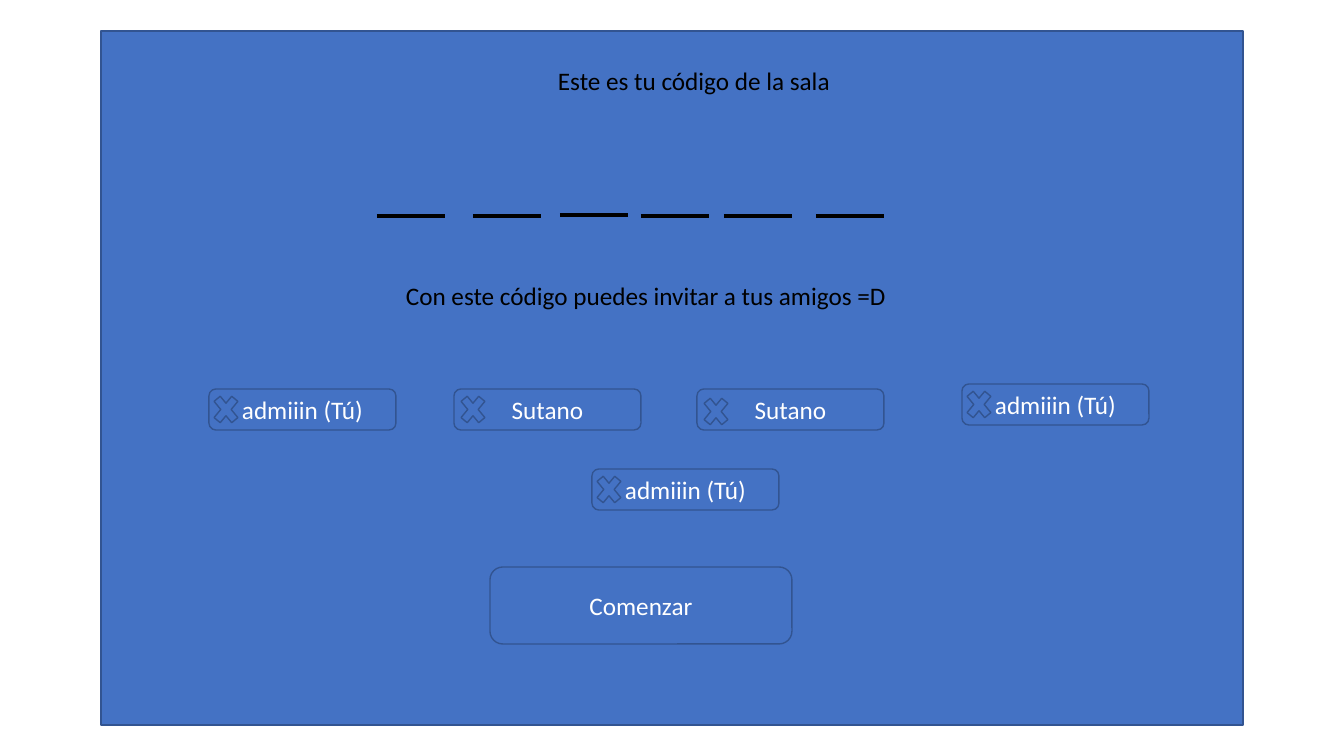
from pptx import Presentation
from pptx.dml.color import RGBColor
from pptx.enum import shapes, text
from pptx.oxml import xmlchemy
from pptx import util as u

PX = u.Inches(1) / 100.8
BLUE = RGBColor(0x44, 0x72, 0xC4)
NAVY = RGBColor(0x32, 0x54, 0x91)
BLACK = RGBColor(0, 0, 0)
WHITE = RGBColor(0xFF, 0xFF, 0xFF)
FORM = shapes.MSO_SHAPE


def write(shape, wording, color):
    paragraph = shape.text_frame.paragraphs[0]
    paragraph.text = wording
    font = paragraph.runs[0].font
    font.name, font.size = "Calibri", u.Pt(18)
    font.color.rgb = color
    return paragraph


def add_box(form, *place, label=None):
    box = slide.shapes.add_shape(form, *[round(n * PX) for n in place])
    box.shadow.inherit = False
    box.fill.solid()
    box.fill.fore_color.rgb = BLUE
    box.line.color.rgb = NAVY
    box.line.width = u.Pt(1)
    if label:
        box.text_frame.vertical_anchor = text.MSO_ANCHOR.MIDDLE
        write(box, label, WHITE).alignment = text.PP_ALIGN.CENTER


prs = Presentation()
prs.slide_width, prs.slide_height = round(1344 * PX), round(756 * PX)
slide = prs.slides.add_slide(prs.slide_layouts[6])

# Room panel
add_box(FORM.RECTANGLE, 101, 31, 1142, 694)

# Room code messages
for left, top, width, message in [
    (548, 60, 295, "Este es tu código de la sala"),
    (396, 275, 504, "Con este código puedes invitar a tus amigos =D"),
]:
    place = [round(n * PX) for n in (left, top, width, 40)]
    caption = slide.shapes.add_textbox(*place)
    caption.text_frame.word_wrap = False
    caption.text_frame.auto_size = text.MSO_AUTO_SIZE.SHAPE_TO_FIT_TEXT
    write(caption, message, BLACK)

# Blanks for the six code characters
for left, top in [(377, 216), (473, 216), (560, 215),
                  (641, 216), (724, 216), (816, 216)]:
    ends = [round(n * PX) for n in (left, top, left + 68, top)]
    blank = slide.shapes.add_connector(shapes.MSO_CONNECTOR.STRAIGHT, *ends)
    blank.line.color.rgb = BLACK
    blank.line.width = u.Pt(3)
    blank._element.spPr.append(xmlchemy.OxmlElement("a:effectLst"))

# Players, each with a cross for removal
for left, top, player, cross_dx, cross_dy in [
    (209, 389, "admiiin (Tú)", 0, 0),
    (454, 389, "Sutano", 2, 0),
    (697, 389, "Sutano", 2, 2),
    (592, 469, "admiiin (Tú)", 0, 0),
    (962, 384, "admiiin (Tú)", 0, 0),
]:
    add_box(FORM.ROUNDED_RECTANGLE, left, top, 187, 41, label=player)
    add_box(FORM.MATH_MULTIPLY, left + cross_dx, top + cross_dy, 34, 41)

# Start button
add_box(FORM.ROUNDED_RECTANGLE, 490, 567, 302, 77, label="Comenzar")

prs.save("out.pptx")
